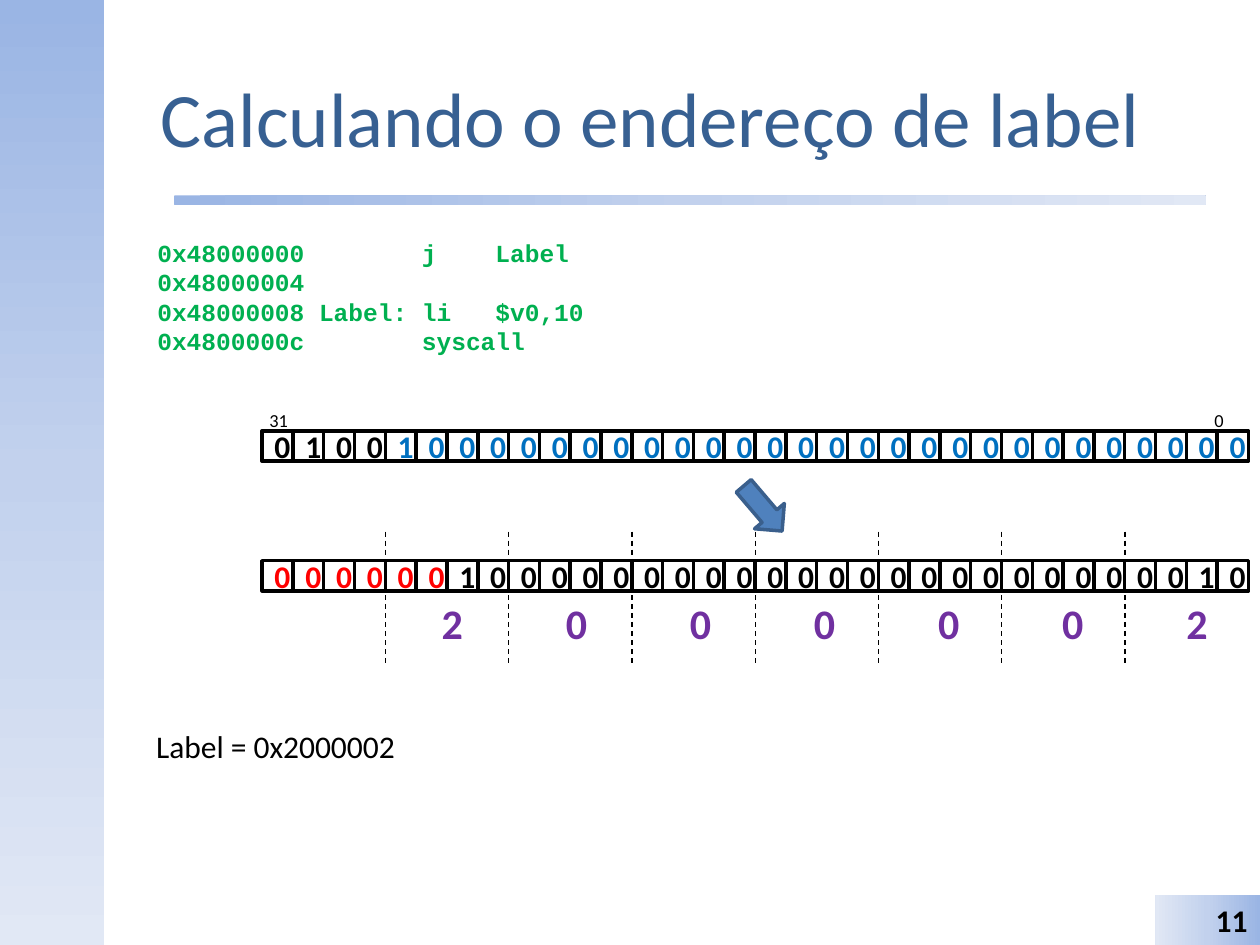
"""Build the slide that works out a jump label address bit by bit."""
from copy import deepcopy
from dataclasses import dataclass

from lxml import etree
from pptx import Presentation
from pptx.dml.color import RGBColor
from pptx.enum.dml import MSO_LINE
from pptx.enum.shapes import MSO_CONNECTOR, MSO_SHAPE
from pptx.enum.text import MSO_ANCHOR, PP_ALIGN
from pptx.oxml.ns import qn
from pptx.util import Inches, Pt

DASH = MSO_LINE.DASH
STRAIGHT = MSO_CONNECTOR.STRAIGHT
RECTANGLE, ROUNDED, DOWN_ARROW = MSO_SHAPE.RECTANGLE, MSO_SHAPE.ROUNDED_RECTANGLE, MSO_SHAPE.DOWN_ARROW
TOP, MIDDLE = MSO_ANCHOR.TOP, MSO_ANCHOR.MIDDLE
LEFT, CENTER, RIGHT = PP_ALIGN.LEFT, PP_ALIGN.CENTER, PP_ALIGN.RIGHT

BLACK, WHITE, RED, BLUE = "000000", "FFFFFF", "FF0000", "0070C0"
GREEN, PURPLE, TITLE_BLUE = "00B050", "7030A0", "376092"
GRADIENT = ("9AB5E4", "C2D1ED", "E1E8F5")

BITS_LEFT, BITS_PITCH = 2.08, (9.66 - 2.08) / 31
NIBBLE_PITCH = 4 * BITS_PITCH


@dataclass
class Box:
    """Position and size in inches."""
    left: float
    top: float
    width: float
    height: float

    def lengths(self) -> tuple:
        """Return the four values as lengths."""
        return tuple(Inches(value) for value in (self.left, self.top, self.width, self.height))


@dataclass
class Style:
    """Look of a piece of text."""
    size: float
    color: str
    bold: bool = False
    align: PP_ALIGN = LEFT
    font: str = "Calibri"


@dataclass
class BitRow:
    """Row of bits with differently coloured head and tail."""
    top: float
    bits: str
    head_length: int
    head_color: str
    tail_color: str


@dataclass
class Band:
    """Decorative gradient band."""
    kind: MSO_SHAPE
    box: Box
    angle: int


def rgb(color: str) -> RGBColor:
    """Turn a hex string into a colour."""
    return RGBColor.from_string(color)


def write(text_frame, text: str, style: Style, anchor: MSO_ANCHOR = TOP) -> None:
    """Set and format the text of a frame."""
    text_frame.text = text
    text_frame.vertical_anchor = anchor
    for paragraph in text_frame.paragraphs:
        paragraph.alignment = style.align
        for run in paragraph.runs:
            run.font.name = style.font
            run.font.size = Pt(style.size)
            run.font.bold = style.bold
            run.font.color.rgb = rgb(style.color)


def add_text(slide, box: Box, text: str, style: Style, wrap: bool = True):
    """Add a text box and return its frame."""
    text_frame = slide.shapes.add_textbox(*box.lengths()).text_frame
    text_frame.word_wrap = wrap
    write(text_frame, text, style)
    return text_frame


def add_solid(slide, kind: MSO_SHAPE, box: Box, fill: str, line: str):
    """Add a filled and outlined shape."""
    shape = slide.shapes.add_shape(kind, *box.lengths())
    shape.shadow.inherit = False
    shape.fill.solid()
    shape.fill.fore_color.rgb = rgb(fill)
    shape.line.color.rgb = rgb(line)
    shape.line.width = Pt(2)
    return shape


def add_band(slide, band: Band):
    """Add a borderless shape with the three-stop gradient."""
    shape = slide.shapes.add_shape(band.kind, *band.box.lengths())
    shape.shadow.inherit = False
    shape.line.fill.background()
    shape.fill.gradient()
    shape.fill.gradient_angle = band.angle
    stop_list = next(shape.element.iter(qn("a:gsLst")))
    middle = deepcopy(stop_list[0])
    middle.set("pos", "50000")
    stop_list.insert(1, middle)
    for stop, color in zip(shape.fill.gradient_stops, GRADIENT):
        stop.color.rgb = rgb(color)
    return shape


def add_bit_row(slide, row: BitRow) -> None:
    """Add one cell for each bit."""
    for index, bit in enumerate(row.bits):
        box = Box(BITS_LEFT + index * BITS_PITCH, row.top, 0.25, 0.24)
        cell = add_solid(slide, RECTANGLE, box, WHITE, BLACK)
        color = row.head_color if index < row.head_length else row.tail_color
        write(cell.text_frame, bit, Style(18, color, True, CENTER), MIDDLE)


def add_divider(slide, left: float) -> None:
    """Add a dashed vertical line between nibbles."""
    divider = slide.shapes.add_connector(
        STRAIGHT, Inches(left), Inches(4.22), Inches(left), Inches(5.27))
    divider.line.color.rgb = rgb(BLACK)
    divider.line.width = Pt(0.75)
    divider.line.dash_style = DASH
    etree.SubElement(divider.element.spPr, qn("a:effectLst"))


def add_code(slide) -> None:
    """Add the listing with its columns on tab stops."""
    lines = ("0x48000000\t\tj\tLabel", "0x48000004",
             "0x48000008\tLabel:\tli\t$v0,10", "0x4800000c\t\tsyscall")
    text_frame = add_text(slide, Box(1.15, 1.84, 3.69, 1.28), "\n".join(lines),
                          Style(14, GREEN, True, font="Courier New"))
    for paragraph in text_frame.paragraphs:
        paragraph.line_spacing = Pt(16.8)
        properties = paragraph._p.get_or_add_pPr()
        tab_list = etree.SubElement(properties, qn("a:tabLst"))
        for column in (11, 18, 23):
            position = Inches(column * 14 * 0.6 / 72)
            etree.SubElement(tab_list, qn("a:tab"), pos=str(position), algn="l")


def build() -> None:
    """Build and save the presentation."""
    presentation = Presentation()
    presentation.slide_width, presentation.slide_height = Inches(10), Inches(7.5)
    slide = presentation.slides.add_slide(presentation.slide_layouts[5])

    title = slide.shapes.title
    title.left, title.top, title.width, title.height = Box(0.83, 0.3, 8.67, 1.25).lengths()
    write(title.text_frame, "Calculando o endereço de label",
          Style(44, TITLE_BLUE, align=CENTER), MIDDLE)

    add_band(slide, Band(RECTANGLE, Box(0, 0, 0.83, 7.5), 270))
    add_band(slide, Band(ROUNDED, Box(1.38, 1.55, 8.19, 0.08), 0))
    page_number = add_band(slide, Band(RECTANGLE, Box(9.17, 7.1, 0.83, 0.4), 180))
    write(page_number.text_frame, "11", Style(18, BLACK, True, RIGHT))

    add_code(slide)
    add_bit_row(slide, BitRow(3.42, "01001" + "0" * 27, 4, BLACK, BLUE))
    for left, label in ((2.04, "31"), (9.54, "0")):
        add_text(slide, Box(left, 3.2, 0.4, 0.28), label, Style(10.5, BLACK))
    add_bit_row(slide, BitRow(4.45, f"{0x2000002:032b}", 6, RED, BLACK))

    for index, digit in enumerate("2000002"):
        add_divider(slide, 3.06 + index * NIBBLE_PITCH)
        add_text(slide, Box(3.34 + index * 0.985, 4.69, 0.5, 0.5), digit,
                 Style(24, PURPLE, True, CENTER))

    add_text(slide, Box(1.14, 5.72, 2.12, 0.4), "Label = 0x2000002", Style(18, BLACK), False)
    arrow = add_solid(slide, DOWN_ARROW, Box(5.9, 3.8, 0.31, 0.47), "4F81BD", "3A5F8C")
    arrow.rotation = 319.6
    presentation.save("out.pptx")


build()
